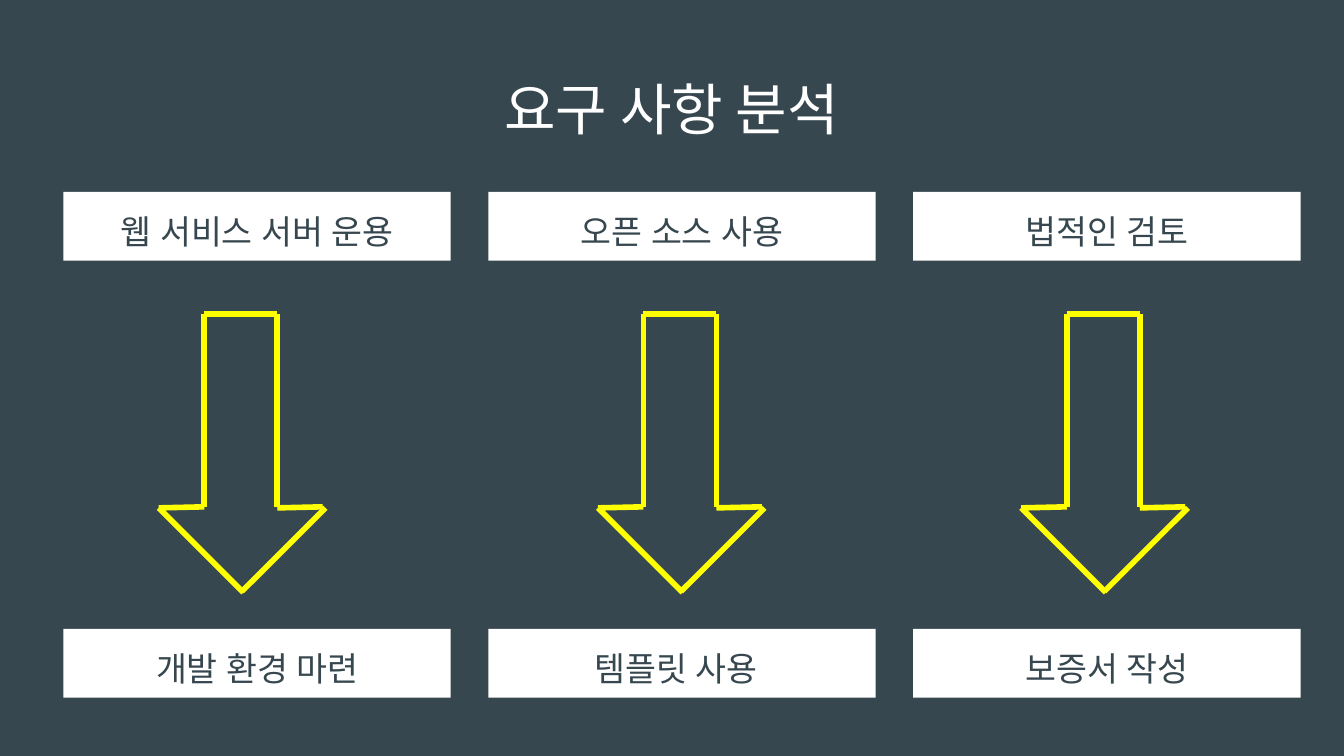
from dataclasses import dataclass

from lxml import etree
from pptx import Presentation
from pptx.dml.color import RGBColor
from pptx.enum.shapes import MSO_CONNECTOR, MSO_SHAPE
from pptx.enum.text import MSO_ANCHOR, PP_ALIGN
from pptx.oxml.ns import qn
from pptx.slide import Slide
from pptx.text.text import TextFrame
from pptx.util import Cm, Pt

RECTANGLE = MSO_SHAPE.RECTANGLE
STRAIGHT = MSO_CONNECTOR.STRAIGHT
TOP, MIDDLE = MSO_ANCHOR.TOP, MSO_ANCHOR.MIDDLE
CENTER = PP_ALIGN.CENTER


@dataclass(frozen=True)
class Theme:
    slate: RGBColor = RGBColor(0x37, 0x47, 0x4F)
    white: RGBColor = RGBColor(0xFF, 0xFF, 0xFF)
    yellow: RGBColor = RGBColor(0xFF, 0xFF, 0x00)
    title_font: str = "Roboto Condensed"
    body_font: str = "Roboto"
    title_size: int = 30
    body_size: int = 18
    stroke_width: int = 3
    inset: float = 0.25


@dataclass(frozen=True)
class Card:
    text: str
    column: int
    top: float
    right_inset: float = 0.25


@dataclass(frozen=True)
class Stroke:
    start_x: float
    start_y: float
    end_x: float
    end_y: float


THEME = Theme()
CARD_LEFT, CARD_PITCH = 1.2, 8.03
CARD_WIDTH, CARD_HEIGHT = 7.32, 1.3
NEED_TOP, ACTION_TOP = 3.63, 11.89
CARDS = (
    Card("웹 서비스 서버 운용", 0, NEED_TOP),
    Card("오픈 소스 사용", 1, NEED_TOP),
    Card("법적인 검토", 2, NEED_TOP),
    Card("개발 환경 마련", 0, ACTION_TOP),
    Card("템플릿 사용", 1, ACTION_TOP, right_inset=0.48),
    Card("보증서 작성", 2, ACTION_TOP),
)
ARROW_LEFTS = (3.0, 11.3, 19.3)
ARROW_STROKES = (
    Stroke(0.86, 5.94, 2.24, 5.94),
    Stroke(2.24, 9.58, 2.24, 5.94),
    Stroke(0.86, 9.58, 0.86, 5.94),
    Stroke(0, 9.6, 0.86, 9.58),
    Stroke(2.24, 9.6, 3.1, 9.58),
    Stroke(0, 9.6, 1.6, 11.2),
    Stroke(3.15, 9.6, 1.57, 11.18),
)


def write_text(frame: TextFrame, text: str, font_name: str, size: int,
               color: RGBColor, anchor: MSO_ANCHOR) -> None:
    frame.text = text
    frame.word_wrap = True
    frame.vertical_anchor = anchor
    frame.margin_left = frame.margin_right = Cm(THEME.inset)
    frame.margin_top = frame.margin_bottom = Cm(THEME.inset)
    para = frame.paragraphs[0]
    para.alignment = CENTER
    span = para.runs[0]
    span.font.name = font_name
    span.font.size = Pt(size)
    span.font.color.rgb = color
    latin = span.font._element.find(qn("a:latin"))
    east_asian = etree.Element(qn("a:ea"), typeface=font_name)
    latin.addnext(east_asian)


def add_title(page: Slide, text: str) -> None:
    title = page.shapes.title
    title.left, title.top = Cm(0.86), Cm(1.24)
    title.width, title.height = Cm(23.67), Cm(1.6)
    write_text(title.text_frame, text, THEME.title_font, THEME.title_size,
               THEME.white, MIDDLE)


def add_card(page: Slide, card: Card) -> None:
    left = CARD_LEFT + card.column * CARD_PITCH
    box = page.shapes.add_shape(RECTANGLE, Cm(left), Cm(card.top),
                                Cm(CARD_WIDTH), Cm(CARD_HEIGHT))
    box.shadow.inherit = False
    box.fill.solid()
    box.fill.fore_color.rgb = THEME.white
    box.line.fill.background()
    frame = box.text_frame
    write_text(frame, card.text, THEME.body_font, THEME.body_size,
               THEME.slate, TOP)
    frame.margin_right = Cm(card.right_inset)
    frame.paragraphs[0].line_spacing = 1.15


def add_arrow(page: Slide, left: float) -> None:
    for stroke in ARROW_STROKES:
        line = page.shapes.add_connector(
            STRAIGHT, Cm(left + stroke.start_x), Cm(stroke.start_y),
            Cm(left + stroke.end_x), Cm(stroke.end_y))
        line.line.color.rgb = THEME.yellow
        line.line.width = Pt(THEME.stroke_width)
        etree.SubElement(line._element.spPr, qn("a:effectLst"))


def main() -> None:
    deck = Presentation()
    deck.slide_width, deck.slide_height = Cm(25.4), Cm(14.29)
    page = deck.slides.add_slide(deck.slide_layouts.get_by_name("Title Only"))
    page.background.fill.solid()
    page.background.fill.fore_color.rgb = THEME.slate
    add_title(page, "요구 사항 분석")
    for card in CARDS:
        add_card(page, card)
    for left in ARROW_LEFTS:
        add_arrow(page, left)
    deck.save("out.pptx")


if __name__ == "__main__":
    main()
